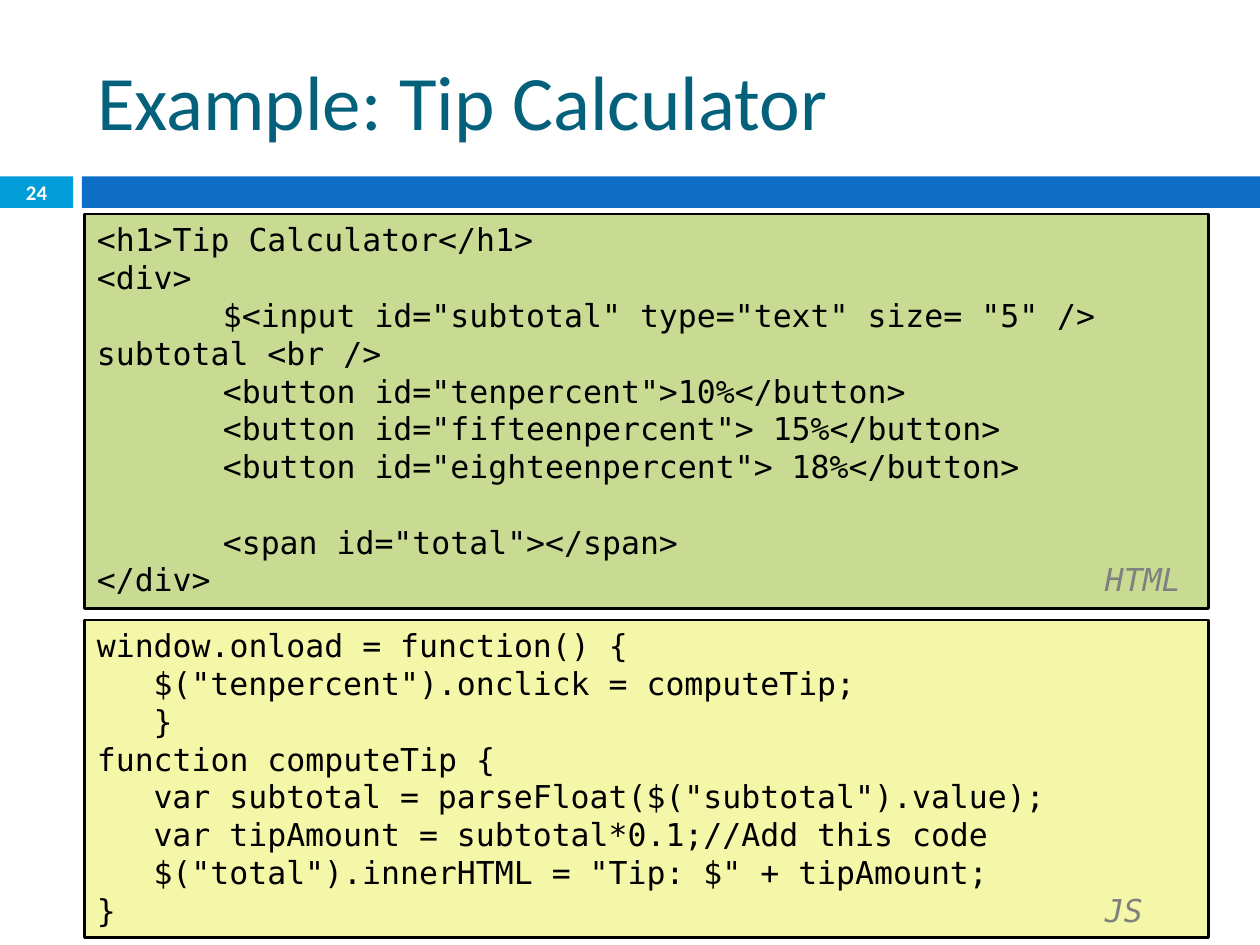
import dataclasses

import lxml.etree
import pptx
import pptx.dml.color
import pptx.enum.shapes
import pptx.enum.text
import pptx.oxml.ns
import pptx.util

Inches = pptx.util.Inches
Pt = pptx.util.Pt
ALIGN = pptx.enum.text.PP_ALIGN
ANCHOR = pptx.enum.text.MSO_ANCHOR
HEADING_FONT = "Calibri"
CODE_FONT = "DejaVu Sans Mono"
LABEL_TAB = 8
LINE_HEIGHT = 21.5
JS_INDENT = 0.45


@dataclasses.dataclass
class CodeLine:
    text: str
    indent: float = 0
    space_before: float = 0


@dataclasses.dataclass
class CodePanel:
    top: float
    height: float
    fill: str
    label: str
    lines: list[CodeLine]


@dataclasses.dataclass
class Bar:
    left: float
    width: float
    fill: str


BARS = [Bar(0, 0.58, "009DD9"), Bar(0.65, 9.35, "0F6FC6")]

PANELS = [
    CodePanel(4.92, 2.52, "F4F6A8", "JS", [
        CodeLine("window.onload = function() {"),
        CodeLine('$("tenpercent").onclick = computeTip;', JS_INDENT),
        CodeLine("}", JS_INDENT),
        CodeLine("function computeTip {"),
        CodeLine('var subtotal = parseFloat($("subtotal").value);', JS_INDENT),
        CodeLine("var tipAmount = subtotal*0.1;//Add this code", JS_INDENT),
        CodeLine('$("total").innerHTML = "Tip: $" + tipAmount;', JS_INDENT),
        CodeLine("}"),
    ]),
    CodePanel(1.7, 3.13, "C9DA92", "HTML", [
        CodeLine("<h1>Tip Calculator</h1>"),
        CodeLine("<div>"),
        CodeLine('$<input id="subtotal" type="text" size= "5" /> subtotal <br />', 1),
        CodeLine('<button id="tenpercent">10%</button>', 1),
        CodeLine('<button id="fifteenpercent"> 15%</button>', 1),
        CodeLine('<button id="eighteenpercent"> 18%</button>', 1),
        CodeLine('<span id="total"></span>', 1, LINE_HEIGHT),
        CodeLine("</div>"),
    ]),
]


def color(value: str):
    return pptx.dml.color.RGBColor.from_string(value)


def add_text(paragraph, text: str, *, font=CODE_FONT, size=18, fill="000000",
             bold=False, italic=False, align=ALIGN.LEFT):
    paragraph.alignment = align
    run = paragraph.add_run()
    run.text = text
    run.font.name = font
    run.font.size = Pt(size)
    run.font.bold = bold
    run.font.italic = italic
    run.font.color.rgb = color(fill)


def add_rectangle(slide, left: float, top: float, width: float, height: float,
                  fill: str, line: str | None = None):
    shape = slide.shapes.add_shape(
        pptx.enum.shapes.MSO_SHAPE.RECTANGLE,
        Inches(left), Inches(top), Inches(width), Inches(height))
    shape.shadow.inherit = False
    shape.fill.solid()
    shape.fill.fore_color.rgb = color(fill)
    if line:
        shape.line.color.rgb = color(line)
        shape.line.width = Pt(1.5)
    else:
        shape.line.fill.background()
    return shape


def add_tab_stop(paragraph, position: float):
    properties = paragraph._p.get_or_add_pPr()
    tab_list = lxml.etree.SubElement(properties, pptx.oxml.ns.qn("a:tabLst"))
    lxml.etree.SubElement(tab_list, pptx.oxml.ns.qn("a:tab"),
                          pos=str(Inches(position)), algn="l")


def add_panel(slide, panel: CodePanel):
    shape = add_rectangle(slide, 0.67, panel.top, 8.92, panel.height,
                          panel.fill, "000000")
    frame = shape.text_frame
    frame.word_wrap = True
    frame.vertical_anchor = ANCHOR.TOP
    for index, line in enumerate(panel.lines):
        paragraph = frame.add_paragraph() if index else frame.paragraphs[0]
        add_text(paragraph, line.text)
        if line.indent:
            properties = paragraph._p.get_or_add_pPr()
            properties.set("marL", "0")
            properties.set("indent", str(Inches(line.indent)))
        if line.space_before:
            paragraph.space_before = Pt(line.space_before)
    add_tab_stop(paragraph, LABEL_TAB)
    add_text(paragraph, "\t")
    add_text(paragraph, panel.label, fill="808080", italic=True)


def add_title(slide, text: str):
    title = slide.shapes.title
    title.left, title.top = Inches(0.67), Inches(0.25)
    title.width, title.height = Inches(8.92), Inches(1.08)
    frame = title.text_frame
    frame.auto_size = pptx.enum.text.MSO_AUTO_SIZE.NONE
    frame.vertical_anchor = ANCHOR.MIDDLE
    add_text(frame.paragraphs[0], text, font=HEADING_FONT, size=44, fill="04617B")


def add_page_number(slide, number: str):
    box = slide.shapes.add_textbox(Inches(0), Inches(1.39), Inches(0.58), Inches(0.27))
    frame = box.text_frame
    frame.word_wrap = True
    frame.vertical_anchor = ANCHOR.MIDDLE
    frame.margin_top = frame.margin_bottom = 0
    add_text(frame.paragraphs[0], number, font=HEADING_FONT, size=11.9,
             fill="FFFFFF", bold=True, align=ALIGN.CENTER)


def main():
    presentation = pptx.Presentation()
    presentation.slide_width = Inches(10)
    presentation.slide_height = Inches(7.5)
    slide = presentation.slides.add_slide(presentation.slide_layouts[5])
    for bar in BARS:
        add_rectangle(slide, bar.left, 1.4, bar.width, 0.25, bar.fill)
    add_title(slide, "Example: Tip Calculator")
    add_page_number(slide, "24")
    for panel in PANELS:
        add_panel(slide, panel)
    presentation.save("out.pptx")


if __name__ == "__main__":
    main()
